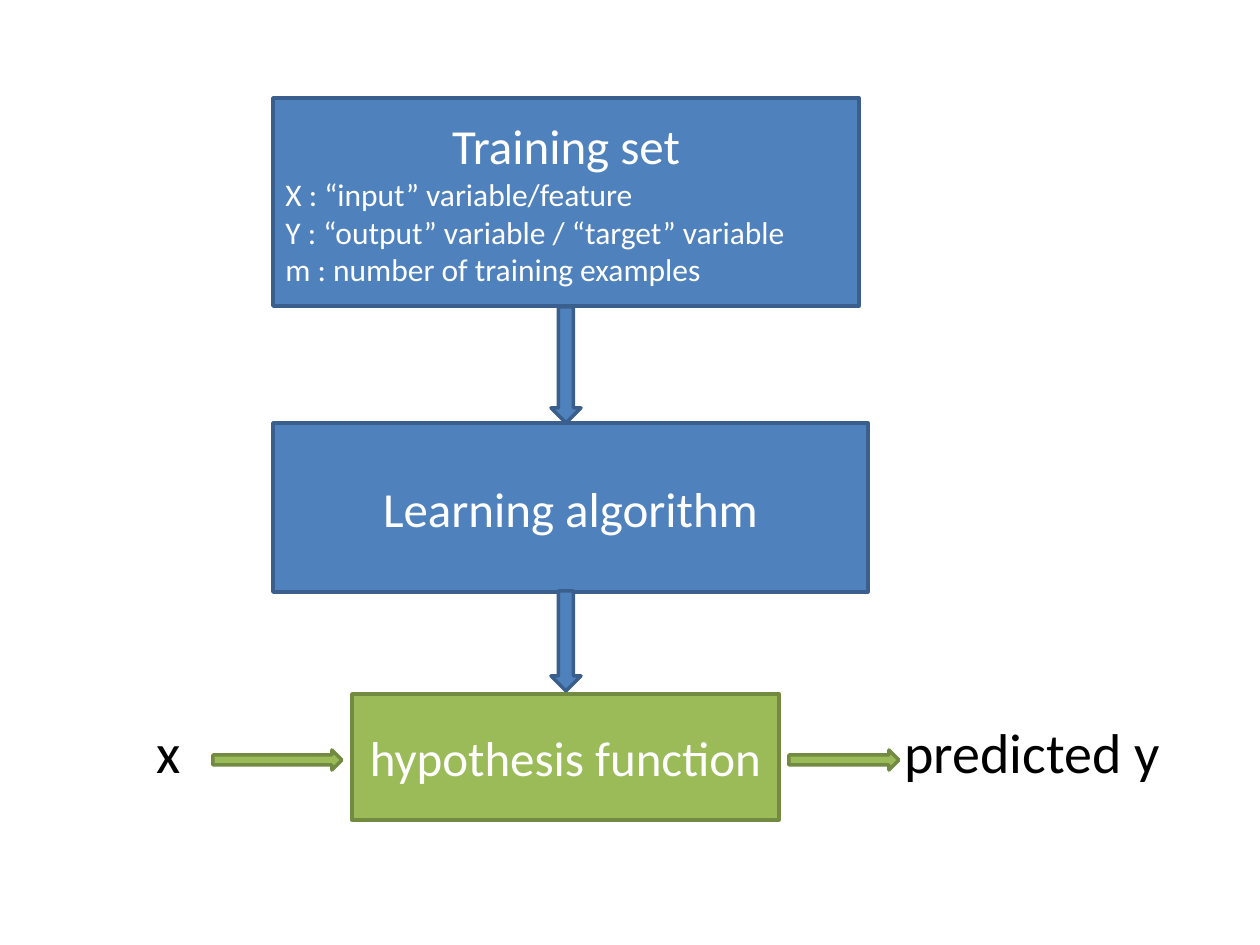
"""Build a slide showing how a learning algorithm yields a hypothesis function."""
from pptx import Presentation
from pptx.dml.color import RGBColor
from pptx.enum.shapes import MSO_SHAPE
from pptx.enum.text import MSO_ANCHOR, MSO_AUTO_SIZE, PP_ALIGN
from pptx.util import Emu, Pt

PIXEL = 914400 // 126
FONT = "Calibri"
COLORS = {
    "blue": "4F81BD", "blue_edge": "3A5F8C",
    "green": "9BBB59", "green_edge": "738A42",
    "white": "FFFFFF", "black": "000000",
}
RECT = MSO_SHAPE.RECTANGLE
DOWN = MSO_SHAPE.DOWN_ARROW
RIGHT = MSO_SHAPE.RIGHT_ARROW
MIDDLE = MSO_ANCHOR.MIDDLE
FIT_SHAPE = MSO_AUTO_SIZE.SHAPE_TO_FIT_TEXT
LEFT, CENTER = PP_ALIGN.LEFT, PP_ALIGN.CENTER


def px(*lengths):
    return [Emu(length * PIXEL) for length in lengths]


def rgb(name):
    return RGBColor.from_string(COLORS[name])


def write_lines(frame, lines, color):
    for index, (text, size, align) in enumerate(lines):
        paragraph = frame.add_paragraph() if index else frame.paragraphs[0]
        paragraph.alignment = align
        run = paragraph.add_run()
        run.text = text
        run.font.name = FONT
        run.font.size = Pt(size)
        run.font.color.rgb = rgb(color)


def add_block(slide, kind, bounds, color, lines=()):
    block = slide.shapes.add_shape(kind, *px(*bounds))
    block.shadow.inherit = False
    block.fill.solid()
    block.fill.fore_color.rgb = rgb(color)
    block.line.color.rgb = rgb(color + "_edge")
    block.line.width = Pt(2)
    block.text_frame.vertical_anchor = MIDDLE
    write_lines(block.text_frame, lines, "white")


def add_label(slide, bounds, text):
    frame = slide.shapes.add_textbox(*px(*bounds)).text_frame
    frame.word_wrap = False
    frame.auto_size = FIT_SHAPE
    write_lines(frame, [(text, 32, LEFT)], "black")


def main():
    deck = Presentation()
    deck.slide_width, deck.slide_height = px(1260, 945)
    slide = deck.slides.add_slide(deck.slide_layouts[6])

    add_block(slide, RECT, (273, 98, 586, 208), "blue", [
        ("Training set", 28, CENTER),
        ("X : “input” variable/feature", 18, LEFT),
        ("Y : “output” variable / “target” variable", 18, LEFT),
        ("m : number of training examples", 18, LEFT),
    ])
    add_block(slide, DOWN, (551, 307, 30, 116), "blue")
    add_block(slide, RECT, (273, 423, 595, 169), "blue",
              [("Learning algorithm", 28, CENTER)])
    add_block(slide, RECT, (352, 694, 427, 126), "green",
              [("hypothesis function", 28, CENTER)])
    add_label(slide, (144, 711, 50, 81), "x")
    for left, width in ((213, 129), (789, 110)):
        add_block(slide, RIGHT, (left, 750, width, 20), "green")
    add_label(slide, (892, 711, 284, 81), "predicted y")
    add_block(slide, DOWN, (551, 591, 30, 100), "blue")

    deck.save("out.pptx")


main()
